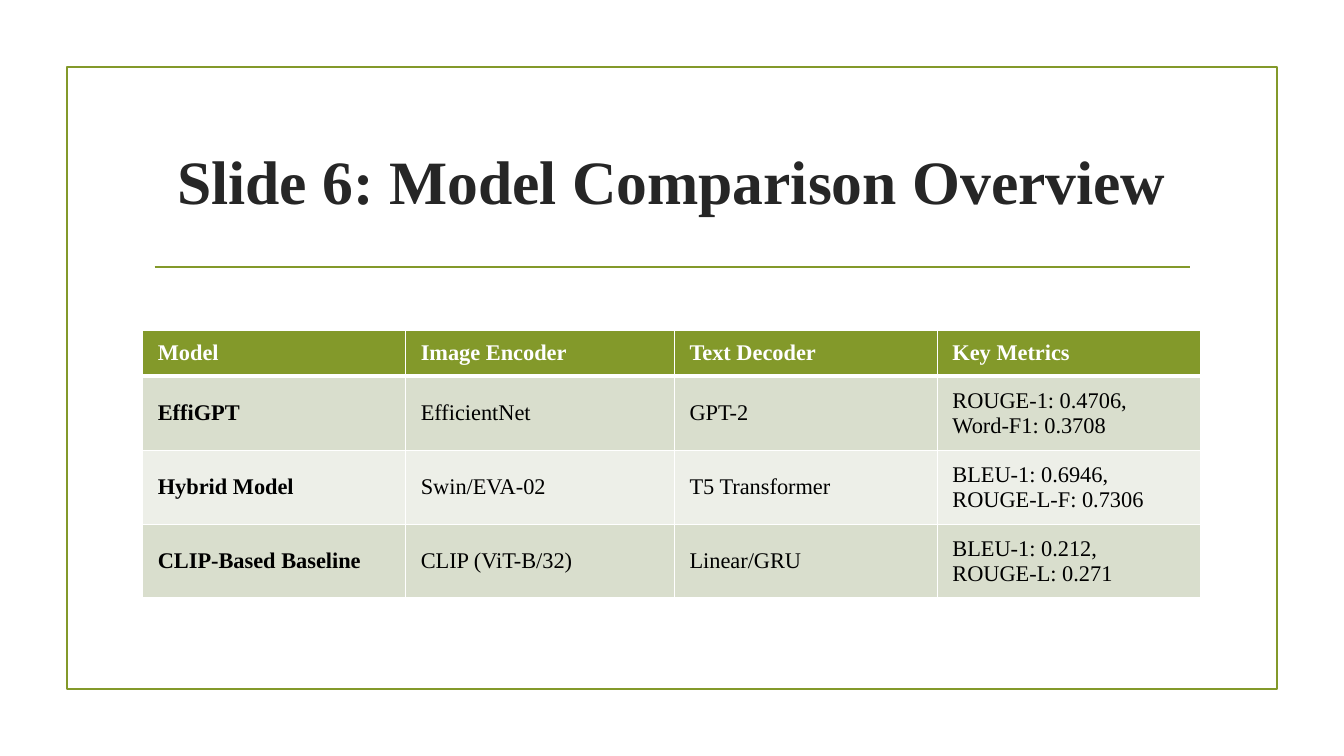
from lxml import etree
from pptx import Presentation, util as u
from pptx.dml.color import RGBColor
from pptx.enum import shapes, text
from pptx.oxml import parse_xml
from pptx.oxml.ns import nsdecls, qn

GREEN = RGBColor(0x83, 0x99, 0x2A)
DARK = RGBColor(0x26, 0x26, 0x26)
BLACK = RGBColor(0, 0, 0)
WHITE = RGBColor(0xFF, 0xFF, 0xFF)
BANDS = RGBColor(0xD9, 0xDE, 0xCD), RGBColor(0xED, 0xEF, 0xE8)
COLS, ROWS = 32, 18
HEADS = ["Model", "Image Encoder", "Text Decoder", "Key Metrics"]
MODELS = [
    ["EffiGPT", "EfficientNet", "GPT-2", "ROUGE-1: 0.4706,\nWord-F1: 0.3708"],
    ["Hybrid Model", "Swin/EVA-02", "T5 Transformer",
     "BLEU-1: 0.6946, ROUGE-L-F: 0.7306"],
    ["CLIP-Based Baseline", "CLIP (ViT-B/32)", "Linear/GRU",
     "BLEU-1: 0.212,\nROUGE-L: 0.271"],
]


def assign(item, values):
    for name, value in values.items():
        setattr(item, name, value)


class Deck:
    """Draw styled elements on one slide, placed by grid columns and rows."""

    def __init__(self):
        self.file = Presentation()
        assign(self.file, {"slide_width": u.Inches(13.333),
                           "slide_height": u.Inches(7.5)})
        self.slide = self.file.slides.add_slide(self.file.slide_layouts[6])
        self.items = self.slide.shapes
        self.font = "Times New Roman"

    def x(self, cols):
        return round(self.file.slide_width * cols / COLS)

    def y(self, rows):
        return round(self.file.slide_height * rows / ROWS)

    def box(self, left, top, wide, high):
        return self.x(left), self.y(top), self.x(wide), self.y(high)

    def stroke(self, line):
        line.color.rgb = GREEN
        line.width = u.Pt(1.25)

    def label(self, frame, words, size, color, bold, **form):
        frame.text = words
        for para in frame.paragraphs:
            assign(para, form)
            for run in para.runs:
                assign(run.font, {"name": self.font, "size": u.Pt(size),
                                  "bold": bold})
                run.font.color.rgb = color

    def frame(self, *place):
        rect = self.items.add_shape(shapes.MSO_SHAPE.RECTANGLE,
                                    *self.box(*place))
        rect.shadow.inherit = False
        rect.fill.background()
        self.stroke(rect.line)

    def rule(self, start, end, row):
        line = self.items.add_connector(shapes.MSO_CONNECTOR.STRAIGHT,
                                        self.x(start), self.y(row),
                                        self.x(end), self.y(row))
        self.stroke(line.line)
        etree.SubElement(line._element.spPr, qn("a:effectLst"))

    def title(self, words, *place):
        frame = self.items.add_textbox(*self.box(*place)).text_frame
        assign(frame, {"word_wrap": True,
                       "vertical_anchor": text.MSO_ANCHOR.MIDDLE})
        self.label(frame, words, 44, DARK, True,
                   alignment=text.PP_ALIGN.CENTER, space_after=u.Pt(6))

    def border(self, cell, row):
        widths = {"L": 1, "R": 1, "T": 3 if row == 1 else 1,
                  "B": 3 if row == 0 else 1}
        props = cell._tc.get_or_add_tcPr()
        for spot, (side, width) in enumerate(widths.items()):
            props.insert(spot, parse_xml(
                f'<a:ln{side} {nsdecls("a")} w="{u.Pt(width)}"><a:solidFill>'
                f'<a:srgbClr val="{WHITE}"/></a:solidFill></a:ln{side}>'))

    def table(self, left, top, wides, highs, data):
        place = self.box(left, top, sum(wides), sum(highs))
        grid = self.items.add_table(len(highs), len(wides), *place).table
        for col, wide in zip(grid.columns, wides):
            col.width = self.x(wide)
        for row, high in zip(grid.rows, highs):
            row.height = self.y(high)
        form = {"margin_left": self.x(.36), "margin_right": self.x(.36),
                "margin_top": self.y(.18), "margin_bottom": self.y(.18),
                "vertical_anchor": text.MSO_ANCHOR.MIDDLE}
        for r, line in enumerate(data):
            for c, words in enumerate(line):
                cell = grid.cell(r, c)
                assign(cell, form)
                cell.fill.solid()
                cell.fill.fore_color.rgb = BANDS[(r - 1) % 2] if r else GREEN
                self.label(cell.text_frame, words, 16,
                           BLACK if r else WHITE, r == 0 or c == 0)
                self.border(cell, r)


def main():
    deck = Deck()
    deck.frame(1.6, 1.6, 28.8, 14.8)
    deck.rule(3.68, 28.34, 6.36)
    deck.title("Slide 6: Model Comparison Overview", 3.4, 2.57, 25.2, 3.43)
    deck.table(3.4, 7.86, [6.26, 6.4, 6.26, 6.26], [1.1] + [1.76] * 3,
               [HEADS] + MODELS)
    deck.file.save("out.pptx")


if __name__ == "__main__":
    main()
